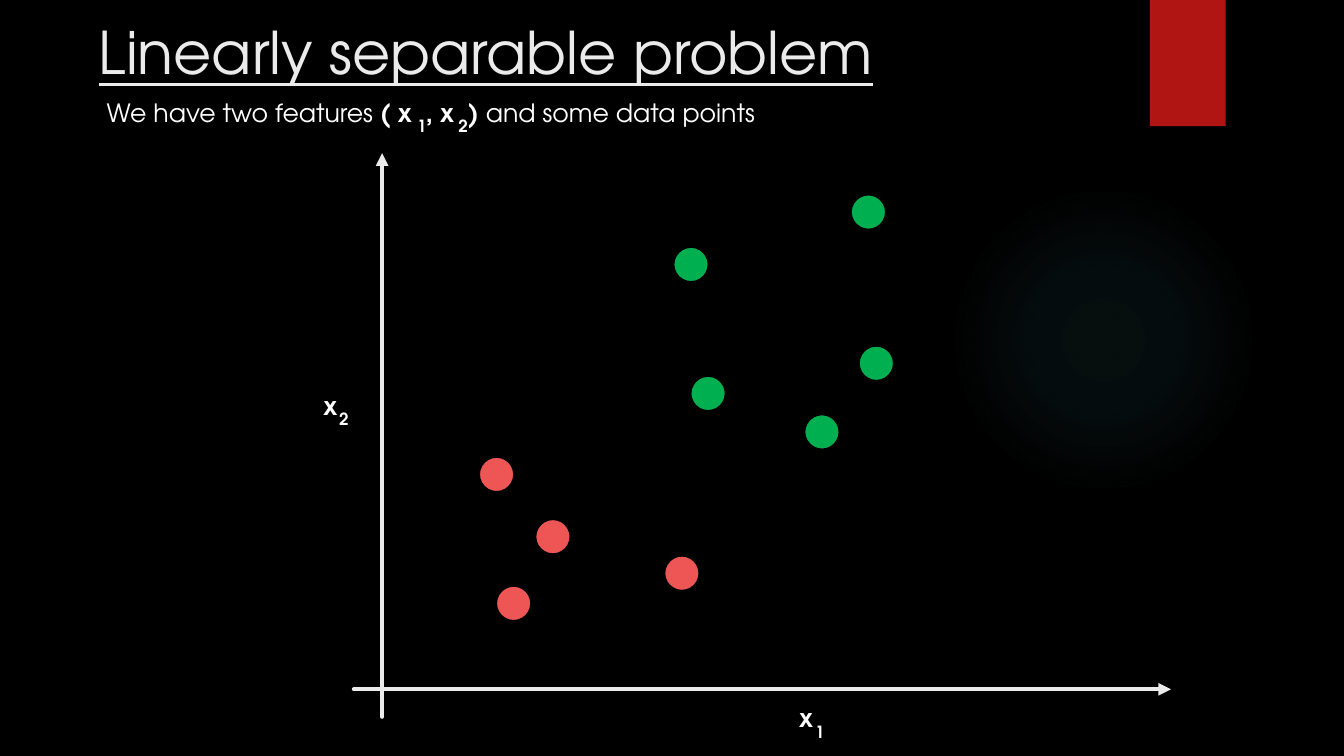
from lxml import etree
from pptx import Presentation
from pptx.dml.color import RGBColor
from pptx.enum.shapes import MSO_CONNECTOR, MSO_SHAPE
from pptx.enum.text import MSO_ANCHOR, MSO_AUTO_SIZE, PP_ALIGN
from pptx.oxml import parse_xml
from pptx.oxml.ns import nsdecls, qn
from pptx.util import Cm, Pt

LINE = MSO_CONNECTOR.STRAIGHT
OVAL, RECT = MSO_SHAPE.OVAL, MSO_SHAPE.RECTANGLE
TOP, LEFT = MSO_ANCHOR.TOP, PP_ALIGN.LEFT
GROW, FIXED = MSO_AUTO_SIZE.SHAPE_TO_FIT_TEXT, MSO_AUTO_SIZE.NONE

FACE = "TeX Gyre Adventor"
HUES = {
    "back": "000000",
    "text": "FFFFFF",
    "pale": "EBEBEB",
    "tab": "B01513",
    "glow": "50B9C1",
    "red": "ED5654",
    "green": "00B050",
}
HEAD = {"name": FACE, "size": Pt(42), "bold": False, "underline": True}
BODY = {"name": FACE, "size": Pt(18), "bold": False}
BOLD = {**BODY, "bold": True}
SUB = {**BOLD, "size": Pt(12)}

DOT = 0.89
DOTS = {
    "red": [(12.07, 11.51), (12.5, 14.76), (13.49, 13.08), (16.74, 14)],
    "green": [(16.97, 6.22), (17.4, 9.47), (20.27, 10.44),
              (21.64, 8.71), (21.44, 4.9)],
}


def hue(name):
    return RGBColor.from_string(HUES[name])


def add_run(para, text, form, tint="text"):
    run = para.add_run()
    run.text = text
    for key, val in form.items():
        setattr(run.font, key, val)
    run.font.color.rgb = hue(tint)
    return run


def add_text(slide, box, parts):
    shape = slide.shapes.add_textbox(*map(Cm, box))
    frame = shape.text_frame
    frame.word_wrap = True
    frame.auto_size = GROW
    for text, form in parts:
        run = add_run(frame.paragraphs[0], text, form)
        if text == " ":
            run.font._element.set("spc", "500")


def add_sub(slide, x, y, text):
    add_text(slide, (x, y, 0.76, 0.76), [(text, SUB)])


def add_label(slide, x, y, sub):
    add_text(slide, (x, y, 0.89, 1.02), [("x", BOLD)])
    add_sub(slide, x + 0.4, y + 0.48, sub)


def add_form(slide, kind, box, tint):
    shape = slide.shapes.add_shape(kind, *map(Cm, box))
    shape.shadow.inherit = False
    shape.fill.solid()
    shape.fill.fore_color.rgb = hue(tint)
    shape.line.fill.background()
    return shape


def add_dot(slide, x, y, tint):
    dot = add_form(slide, OVAL, (x, y, DOT, DOT), tint)
    dot.line.color.rgb = hue("back")
    dot.line.width = Pt(1.5)


def add_glow(slide, box):
    glow = add_form(slide, OVAL, box, "glow")
    stops = "".join(
        f'<a:gs pos="{pos}000"><a:srgbClr val="{HUES["glow"]}">'
        f'<a:alpha val="{alpha}000"/></a:srgbClr></a:gs>'
        for pos, alpha in [(0, 7), (36, 6), (69, 0)]
    )
    grad = parse_xml(
        f'<a:gradFill {nsdecls("a")} rotWithShape="1"><a:gsLst>{stops}</a:gsLst>'
        '<a:path path="circle"><a:fillToRect l="50000" t="50000" r="50000" '
        'b="50000"/></a:path></a:gradFill>'
    )
    props = glow._element.spPr
    props.replace(props.find(qn("a:solidFill")), grad)


def add_axis(slide, ends):
    axis = slide.shapes.add_connector(LINE, *map(Cm, ends))
    axis.line.color.rgb = hue("pale")
    axis.line.width = Pt(3)
    props = axis._element.spPr
    line = props.find(qn("a:ln"))
    line.set("cap", "rnd")
    etree.SubElement(line, qn("a:tailEnd"), type="triangle")
    etree.SubElement(props, qn("a:effectLst"))


def set_title(slide, box, text):
    title = slide.shapes.title
    title.left, title.top, title.width, title.height = map(Cm, box)
    frame = title.text_frame
    frame.vertical_anchor = TOP
    frame.auto_size = FIXED
    para = frame.paragraphs[0]
    para.alignment = LEFT
    add_run(para, text, HEAD, "pale")


def main():
    deck = Presentation()
    deck.slide_width, deck.slide_height = Cm(33.87), Cm(19.05)
    slide = deck.slides.add_slide(deck.slide_layouts[5])
    slide.background.fill.solid()
    slide.background.fill.fore_color.rgb = hue("back")

    add_glow(slide, (23.9, 4.65, 7.82, 7.82))
    add_form(slide, RECT, (28.98, 0, 1.91, 3.18), "tab")
    set_title(slide, (2.24, 0.28, 26.14, 3.89), "Linearly separable problem")

    add_text(slide, (2.44, 2.34, 17.12, 1.02), [
        ("We have two features ", BODY),
        ("( x", BOLD), (" ", BOLD), (", x", BOLD), (" ", BOLD), (") ", BOLD),
        ("and some data points", BODY),
    ])
    add_sub(slide, 10.26, 2.79, "1")
    add_sub(slide, 11.3, 2.79, "2")

    add_axis(slide, (9.63, 18.06, 9.63, 3.86))
    add_axis(slide, (8.92, 17.37, 29.51, 17.37))
    add_label(slide, 19.89, 17.58, "1")
    add_label(slide, 7.9, 9.7, "2")
    for tint, spots in DOTS.items():
        for x, y in spots:
            add_dot(slide, x, y, tint)

    deck.save("out.pptx")


if __name__ == "__main__":
    main()
